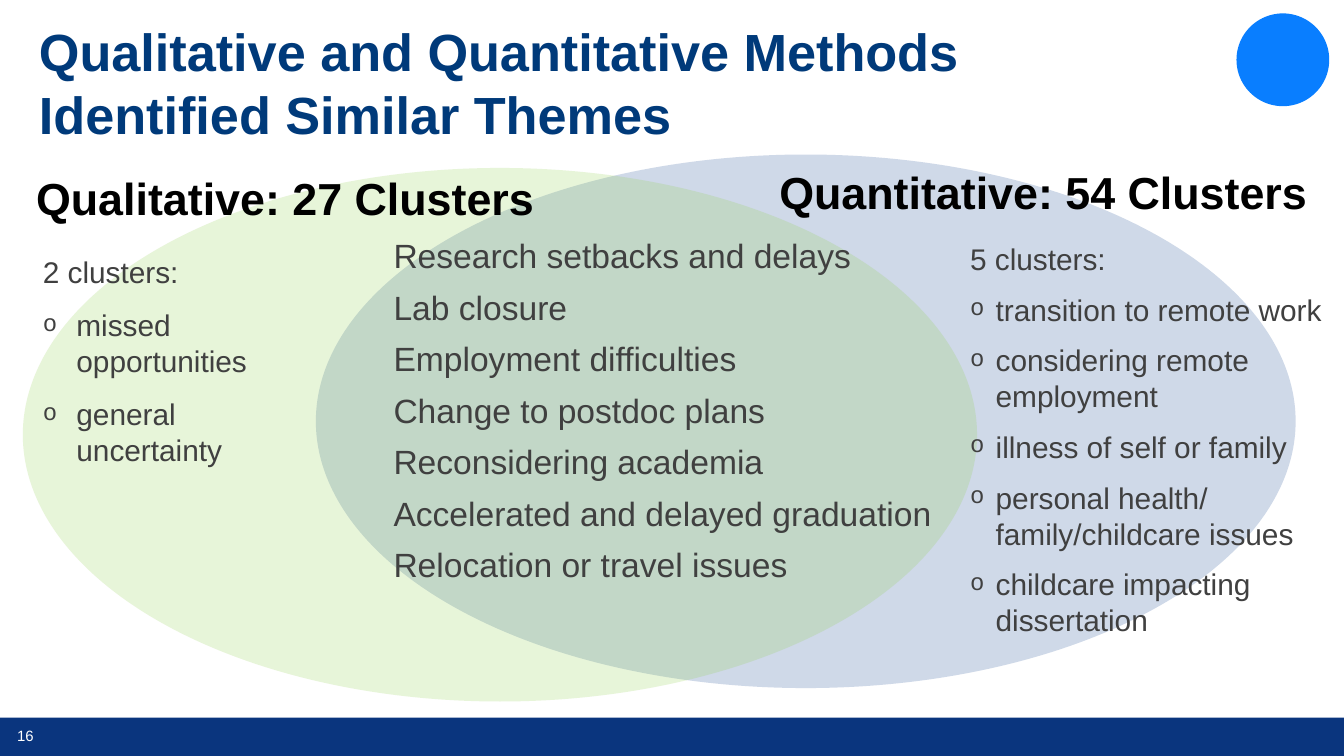
from lxml.etree import SubElement as Sub
from pptx import Presentation
from pptx.dml.color import RGBColor as RGB
from pptx.enum.shapes import MSO_SHAPE as Shape
from pptx.enum.text import MSO_ANCHOR as Anchor, PP_ALIGN as Align
from pptx.oxml.ns import qn
from pptx.util import Inches, Pt

COLORS = {
    "bar": "0A357E", "blue": "1E4E96", "green": "92D050", "dot": "097EFF",
    "text": "404040", "head": "000000", "title": "003A7A", "white": "FFFFFF",
}
COMMON = [
    "Research setbacks and delays", "Lab closure", "Employment difficulties",
    "Change to postdoc plans", "Reconsidering academia",
    "Accelerated and delayed graduation", "Relocation or travel issues",
]
QUAL = ["missed opportunities", "general uncertainty"]
QUANT = [
    "transition to remote work", "considering remote employment",
    "illness of self or family", "personal health/ family/childcare issues",
    "childcare impacting dissertation",
]


def place(box):
    return [Inches(v) for v in box]


def add_form(slide, kind, box, color, alpha=None):
    form = slide.shapes.add_shape(kind, *place(box))
    form.shadow.inherit = False
    form.fill.solid()
    form.fill.fore_color.rgb = RGB.from_string(COLORS[color])
    form.line.fill.background()
    if alpha:
        tint = form.fill._xPr.find(qn("a:solidFill"))[0]
        Sub(tint, qn("a:alpha"), val=str(alpha * 1000))


def add_run(para, text, size, color, bold=False):
    run = para.add_run()
    run.text = text
    font = run.font
    font.name, font.size, font.bold = "Arial", Pt(size), bold
    font.color.rgb = RGB.from_string(COLORS[color])


def add_box(slide, box):
    frame = slide.shapes.add_textbox(*place(box)).text_frame
    frame.word_wrap = True
    return frame


def next_para(frame, index):
    return frame.add_paragraph() if index else frame.paragraphs[0]


def add_bullet(para, indent):
    props = para._p.get_or_add_pPr()
    props.set("marL", str(Inches(indent)))
    props.set("indent", str(-Inches(indent)))
    Sub(props, qn("a:buSzPct"), val="80000")
    Sub(props, qn("a:buFont"), typeface="Courier New")
    Sub(props, qn("a:buChar"), char="o")


def add_list(slide, box, lead, items, indent, before, after):
    frame = add_box(slide, box)
    for i, text in enumerate([lead, *items]):
        para = next_para(frame, i)
        if i:
            add_bullet(para, indent)
            para.space_before = Pt(before)
        para.space_after = Pt(after)
        add_run(para, text, 16, "text")


def add_common(slide, box):
    frame = add_box(slide, box)
    for i, text in enumerate(COMMON):
        para = next_para(frame, i)
        para.space_after = Pt(6)
        add_run(para, text, 18, "text")


def add_head(slide, box, text):
    add_run(add_box(slide, box).paragraphs[0], text, 24, "head", True)


def add_title(slide, box, text):
    title = slide.shapes.title
    title.left, title.top, title.width, title.height = place(box)
    frame = title.text_frame
    frame.word_wrap = True
    frame.vertical_anchor = Anchor.MIDDLE
    frame.margin_left = frame.margin_top = frame.margin_bottom = Inches(0.1)
    frame.margin_right = Inches(0.2)
    para = frame.paragraphs[0]
    para.alignment = Align.LEFT
    add_run(para, text, 28, "title", True)


def add_foot(slide, box):
    left, top, width, height = box
    add_form(slide, Shape.RECTANGLE, box, "bar")
    frame = add_box(slide, (left, top + 0.01, 0.38, 0.24))
    frame.margin_left = frame.margin_right = 0
    frame.margin_top = frame.margin_bottom = 0
    frame.vertical_anchor = Anchor.MIDDLE
    para = frame.paragraphs[0]
    para.alignment = Align.CENTER
    add_run(para, "16", 8, "white")


def add_venn(slide, box):
    left, top, width, height = box
    add_form(slide, Shape.OVAL, (left + 2.18, top, 7.29, 3.97), "blue", 21)
    add_form(slide, Shape.OVAL, (left, top + 0.1, 7.1, 3.97), "green", 21)
    add_list(slide, (left + 6.95, top + 0.59, 2.93, 2.96),
             "5 clusters:", QUANT, 0.19, 6, 2)
    add_list(slide, (left + 0.05, top + 0.69, 2.08, 1.91),
             "2 clusters:", QUAL, 0.25, 3.2, 6)
    add_head(slide, (left, top + 0.07, 3.92, 0.5), "Qualitative: 27 Clusters")
    add_head(slide, (left + 5.53, top + 0.03, 4.33, 0.5),
             "Quantitative: 54 Clusters")
    add_common(slide, (left + 2.66, top + 0.55, 4.33, 3.03))


def main():
    deck = Presentation()
    deck.slide_width, deck.slide_height = Inches(10), Inches(10 * 9 / 16)
    slide = deck.slides.add_slide(deck.slide_layouts[5])
    add_title(slide, (0.19, 0.17, 8.96, 0.88),
              "Qualitative and Quantitative Methods Identified Similar Themes")
    add_foot(slide, (0, 5.34, 10, 0.29))
    add_venn(slide, (0.17, 1.15, 9.47, 4.07))
    add_form(slide, Shape.OVAL, (9.2, 0.1, 0.69, 0.69), "dot")
    deck.save("out.pptx")


if __name__ == "__main__":
    main()
